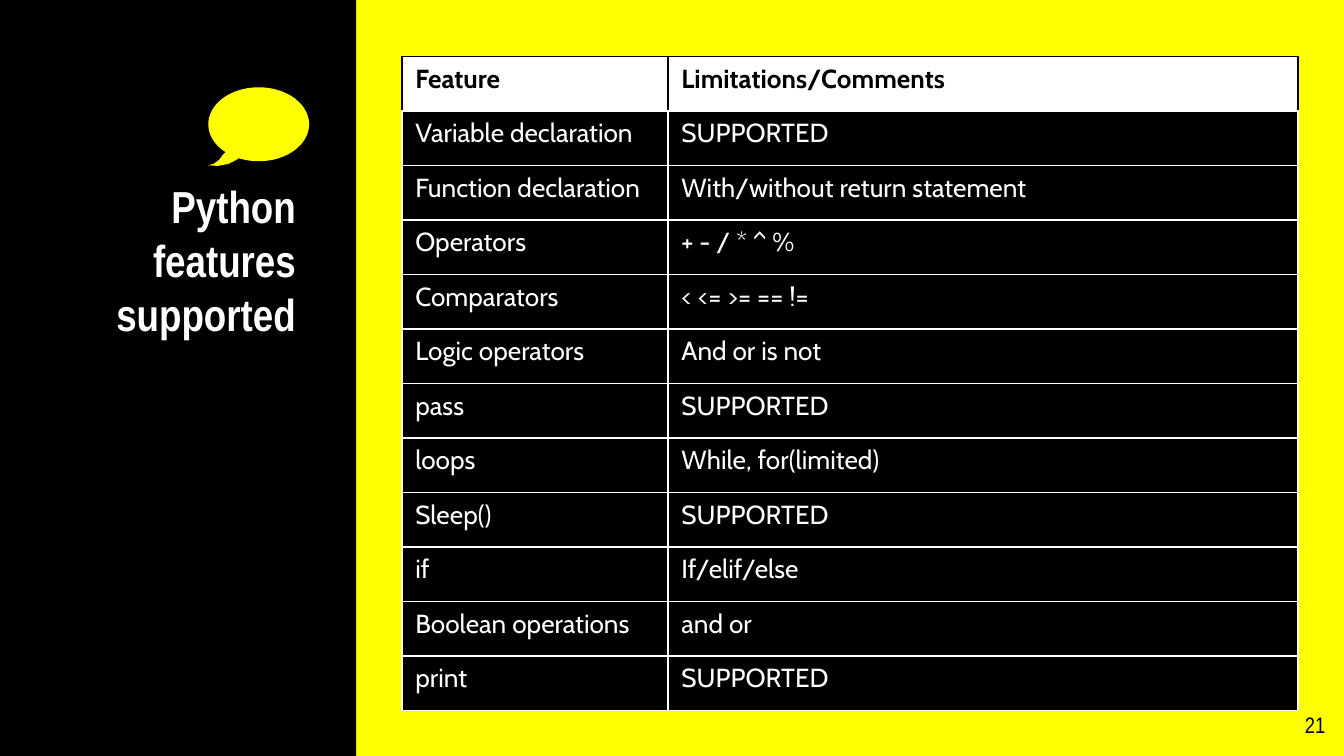
"""Build the slide that lists the supported Python features."""
import math
from dataclasses import dataclass

import pptx
import pptx.dml.color
import pptx.enum.shapes
import pptx.enum.text
import pptx.oxml
import pptx.oxml.ns
import pptx.slide
import pptx.table
import pptx.text.text
import pptx.util

COLS, ROWS = 100, 56.25
UNIT = pptx.util.Inches(0.1)
HUES = {"dark": "000000", "light": "FFFFFF", "sun": "FFFF00"}


@dataclass(frozen=True)
class Box:
    left: float
    top: float
    wide: float
    high: float

    def spans(self) -> list[int]:
        return [span(n) for n in (self.left, self.top, self.wide, self.high)]


@dataclass(frozen=True)
class Style:
    font: str
    size: int
    hue: str
    bold: bool = False


@dataclass(frozen=True)
class Label:
    box: Box
    text: str
    style: Style


@dataclass(frozen=True)
class Entry:
    name: str
    note: str


LABELS = [
    Label(Box(4.4, 12.3, 18.6, 16.2), "Python features supported",
          Style("Arial Narrow", 24, "light", True)),
    Label(Box(93.6, 51.9, 6, 4.3), "21", Style("Arial Narrow", 12, "dark")),
]
HEAD = Style("Cabin", 14, "dark", True)
BODY = Style("Cabin", 14, "light")
ENTRIES = [
    Entry("Feature", "Limitations/Comments"),
    Entry("Variable declaration", "SUPPORTED"),
    Entry("Function declaration", "With/without return statement"),
    Entry("Operators", "+ - / * ^ %"),
    Entry("Comparators", "< <= >= == !="),
    Entry("Logic operators", "And or is not"),
    Entry("pass", "SUPPORTED"),
    Entry("loops", "While, for(limited)"),
    Entry("Sleep()", "SUPPORTED"),
    Entry("if", "If/elif/else"),
    Entry("Boolean operations", "and or"),
    Entry("print", "SUPPORTED"),
]
GRID = Box(29.9, 4.2, 66.7, 48.7)
SPLIT = 19.8
TAIL = [(16.6, 11.5), (16.3, 11.9), (15.9, 12.2), (15.5, 12.3),
        (16.2, 12.35), (17, 12.2), (17.4, 12)]


def span(count: float) -> int:
    return round(count * UNIT)


def tint(hue: str) -> pptx.dml.color.RGBColor:
    return pptx.dml.color.RGBColor.from_string(HUES[hue])


def write(para: pptx.text.text._Paragraph, text: str, style: Style) -> None:
    run = para.add_run()
    run.text = text
    run.font.name = style.font
    run.font.size = pptx.util.Pt(style.size)
    run.font.bold = style.bold
    run.font.color.rgb = tint(style.hue)


def paint(shape, hue: str) -> None:
    shape.shadow.inherit = False
    shape.fill.solid()
    shape.fill.fore_color.rgb = tint(hue)
    shape.line.fill.background()


def add_label(slide: pptx.slide.Slide, label: Label) -> None:
    frame = slide.shapes.add_textbox(*label.box.spans()).text_frame
    frame.word_wrap = True
    frame.margin_left = frame.margin_right = UNIT
    frame.margin_top = frame.margin_bottom = UNIT
    para = frame.paragraphs[0]
    para.alignment = pptx.enum.text.PP_ALIGN.RIGHT
    write(para, label.text, label.style)


def add_bubble(slide: pptx.slide.Slide) -> None:
    arc = [(19.25 + 3.75 * math.cos(math.radians(turn)),
            9.25 + 2.75 * math.sin(math.radians(turn)))
           for turn in range(131, 474, 3)]
    points = [(span(x), span(y)) for x, y in arc[::-1] + TAIL]
    pen = slide.shapes.build_freeform(*points[0])
    pen.add_line_segments(points[1:])
    paint(pen.convert_to_shape(), "sun")


def edge(cell: pptx.table._Cell, side: str, hue: str) -> None:
    space = pptx.oxml.ns.nsdecls("a")
    cell._tc.get_or_add_tcPr().append(pptx.oxml.parse_xml(
        f'<a:ln{side} {space} w="{pptx.util.Pt(1)}"><a:solidFill>'
        f'<a:srgbClr val="{HUES[hue]}"/></a:solidFill></a:ln{side}>'))


def fill_cell(cell: pptx.table._Cell, text: str, head: bool) -> None:
    for side in "LRTB":
        edge(cell, side, "dark" if head and side != "B" else "light")
    cell.fill.solid()
    cell.fill.fore_color.rgb = tint("light" if head else "dark")
    para = cell.text_frame.paragraphs[0]
    para.space_before = pptx.util.Pt(6)
    write(para, text, HEAD if head else BODY)


def add_grid(slide: pptx.slide.Slide) -> None:
    table = slide.shapes.add_table(len(ENTRIES), 2, *GRID.spans()).table
    table.first_row = table.horz_banding = False
    for col, wide in zip(table.columns, (SPLIT, GRID.wide - SPLIT)):
        col.width = span(wide)
    for row, (line, entry) in enumerate(zip(table.rows, ENTRIES)):
        line.height = span(GRID.high / len(ENTRIES))
        for cell, text in zip(line.cells, (entry.name, entry.note)):
            fill_cell(cell, text, row == 0)


def main() -> None:
    deck = pptx.Presentation()
    deck.slide_width, deck.slide_height = span(COLS), span(ROWS)
    slide = deck.slides.add_slide(deck.slide_layouts[6])
    slide.background.fill.solid()
    slide.background.fill.fore_color.rgb = tint("sun")
    panel = slide.shapes.add_shape(
        pptx.enum.shapes.MSO_SHAPE.RECTANGLE, *Box(0, 0, 26.5, ROWS).spans())
    paint(panel, "dark")
    for label in LABELS:
        add_label(slide, label)
    add_bubble(slide)
    add_grid(slide)
    deck.save("out.pptx")


if __name__ == "__main__":
    main()
